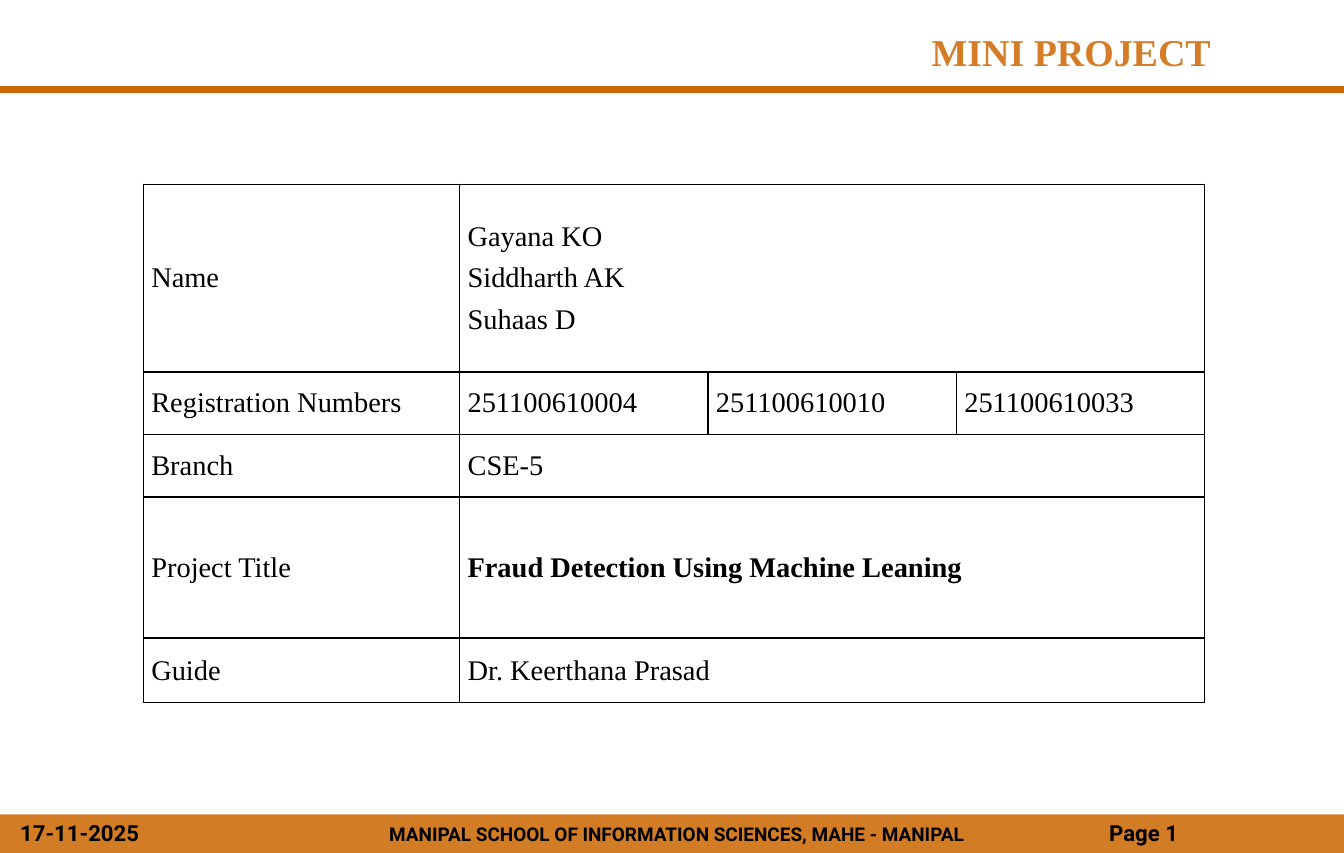
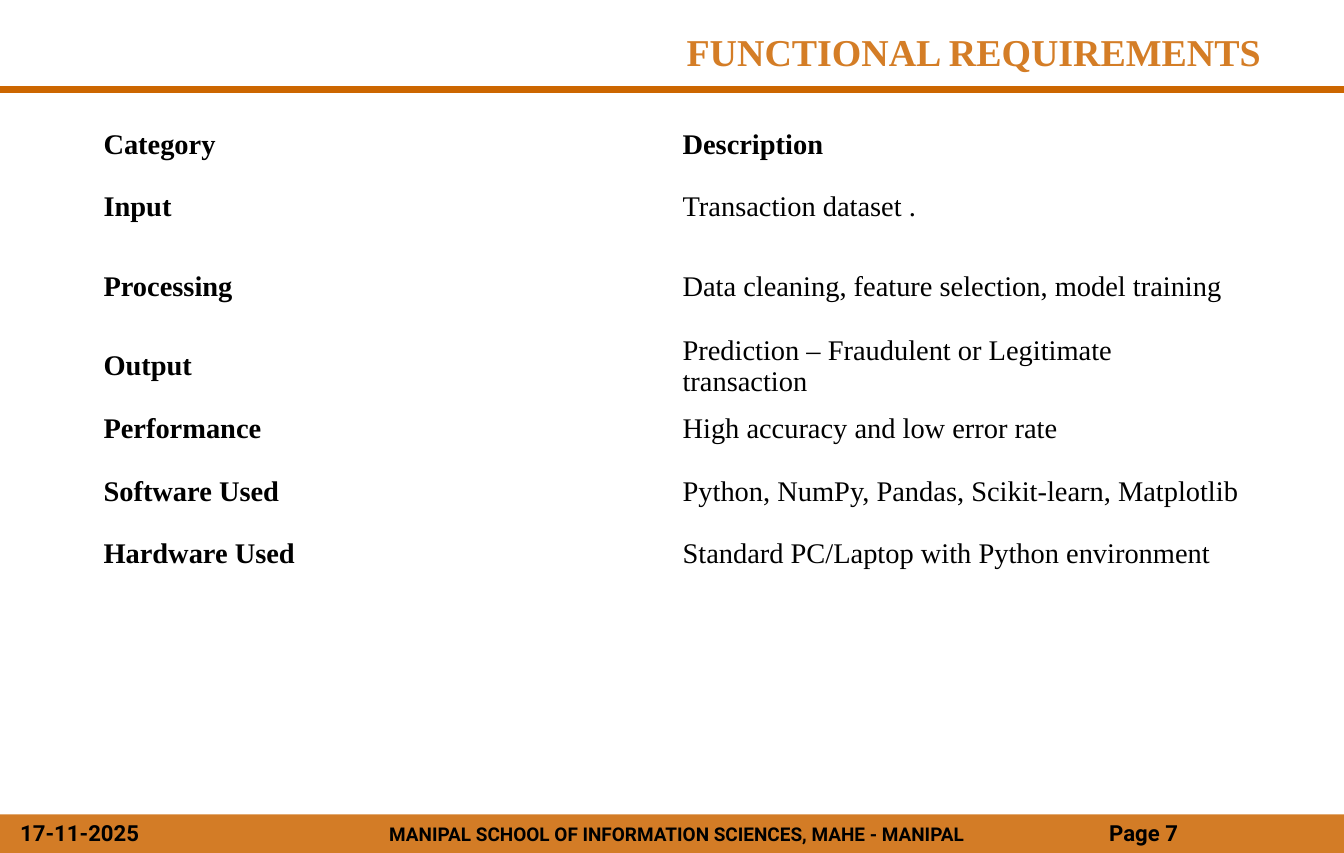
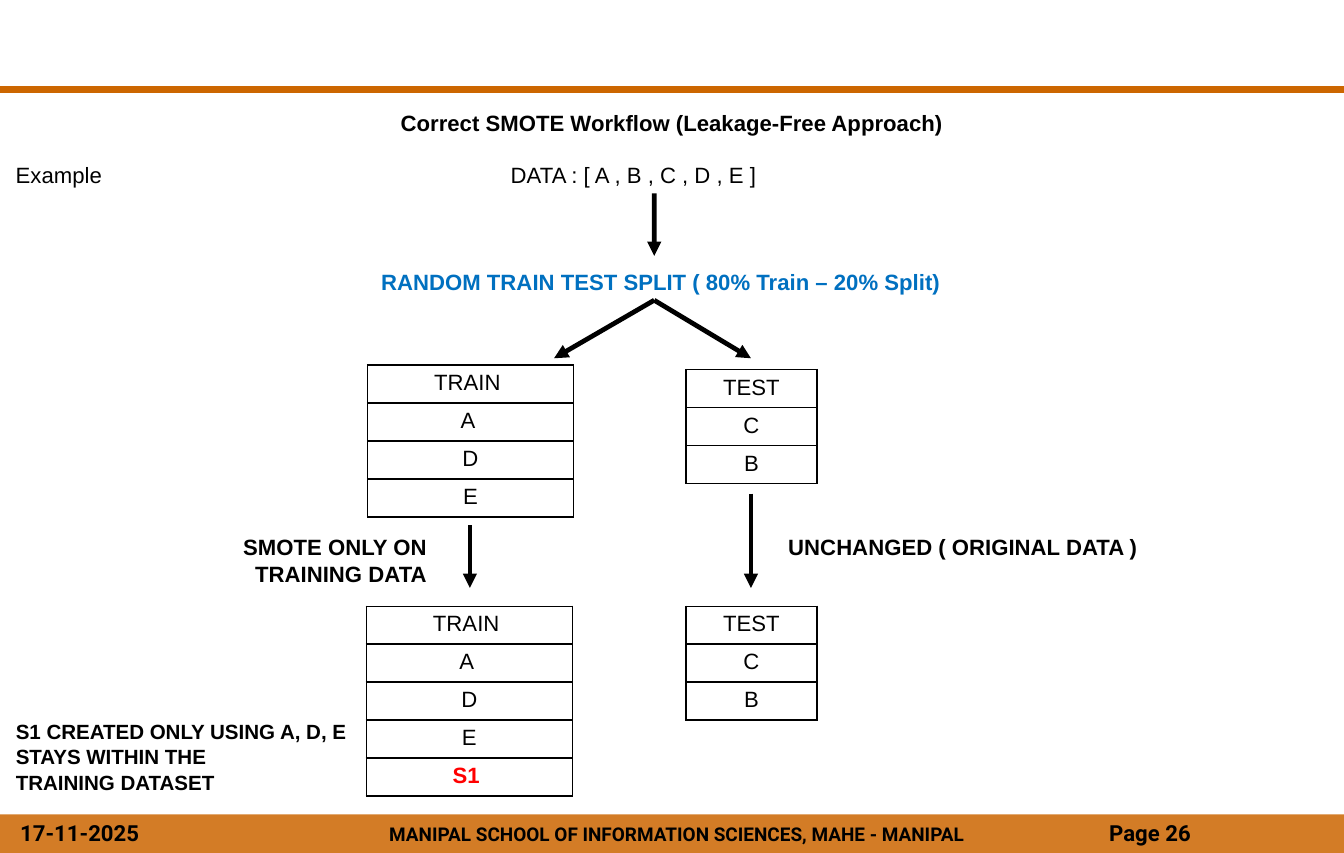
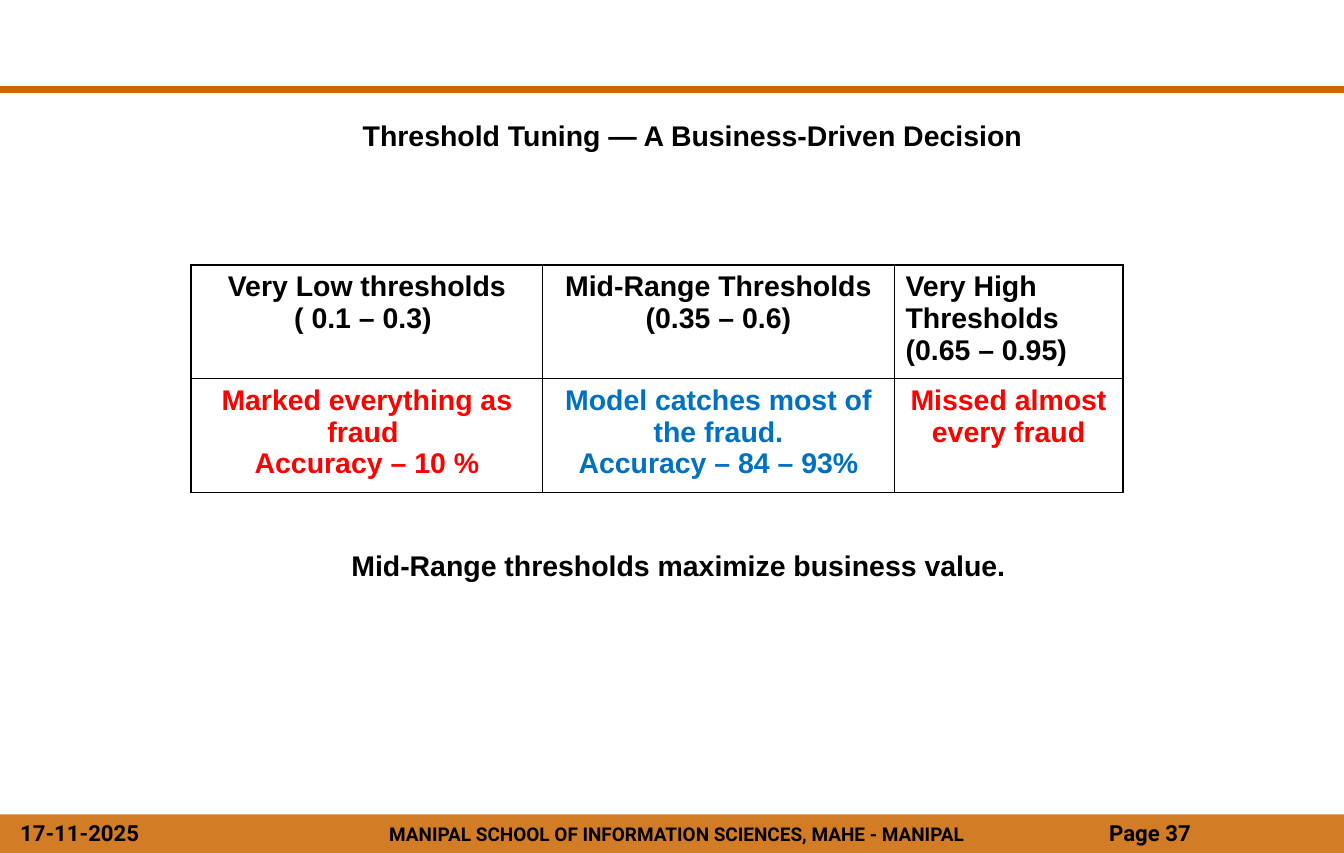
"""Build four slides of a fraud detection project deck."""
from dataclasses import dataclass

from lxml import etree
from pptx import Presentation
from pptx.dml.color import RGBColor
from pptx.enum.shapes import MSO_CONNECTOR, MSO_SHAPE
from pptx.enum.text import MSO_ANCHOR, PP_ALIGN
from pptx.oxml.ns import qn
from pptx.shapes.autoshape import Shape
from pptx.shapes.connector import Connector
from pptx.slide import Slide
from pptx.text.text import TextFrame
from pptx.util import Inches, Pt

LEFT, CENTER, RIGHT = PP_ALIGN.LEFT, PP_ALIGN.CENTER, PP_ALIGN.RIGHT
TOP, MIDDLE, BOTTOM = MSO_ANCHOR.TOP, MSO_ANCHOR.MIDDLE, MSO_ANCHOR.BOTTOM
STRAIGHT = MSO_CONNECTOR.STRAIGHT
RECTANGLE = MSO_SHAPE.RECTANGLE
TOP_SIDE, BOTTOM_SIDE = 0, 2


@dataclass(frozen=True)
class Theme:
    band: str = "CC6600"
    title: str = "D47D26"
    ink: str = "000000"
    blue: str = "0070C0"
    red: str = "FF0000"
    serif: str = "Times New Roman"
    sans: str = "Arial"
    footer: str = "Roboto"
    title_size: float = 24
    large: float = 18
    body: float = 14
    small: float = 13
    school: float = 12
    band_opacity: int = 85000
    rule_width: float = 4.5
    arrow_width: float = 3
    border_width: float = 1


THEME = Theme()
WIDTH, HEIGHT = 189 / 16, 7.5


@dataclass(frozen=True)
class Style:
    font: str = THEME.sans
    size: float = THEME.body
    color: str = THEME.ink
    bold: bool = False
    align: PP_ALIGN = LEFT
    line_spacing: float = 1.0
    gap: float = 0


@dataclass(frozen=True)
class Note:
    text: str
    left: float
    top: float
    width: float
    height: float
    style: Style
    inset: float = 0.1
    anchor: MSO_ANCHOR = TOP


@dataclass(frozen=True)
class Cell:
    text: str
    style: Style


@dataclass(frozen=True)
class Grid:
    left: float
    top: float
    widths: list[float]
    heights: list[float]
    rows: list[list[Cell]]
    side_margin: float = 0.1
    end_margin: float = 0.05
    anchor: MSO_ANCHOR = TOP
    bordered: bool = True


FOOTER = Style(THEME.footer, bold=True)
SCHOOL = Style(THEME.footer, THEME.school, bold=True, align=CENTER)
TITLE = Style(THEME.serif, THEME.title_size, THEME.title, True, RIGHT)
SERIF = Style(THEME.serif, THEME.large, gap=6.2)
SERIF_BOLD = Style(THEME.serif, THEME.large, bold=True)
PLAIN = Style()
CENTERED = Style(align=CENTER)
STRONG = Style(bold=True)
HEADING = Style(bold=True, align=CENTER)
SPLIT = Style(color=THEME.blue, bold=True)
SYNTHETIC = Style(color=THEME.red, bold=True, align=CENTER)
STEP = Style(bold=True, align=RIGHT, line_spacing=1.04)
REMARK = Style(size=THEME.small, bold=True, line_spacing=1.04)
LARGE = Style(size=THEME.large, bold=True)
LARGE_CENTERED = Style(size=THEME.large, bold=True, align=CENTER)
BAD = Style(size=THEME.large, color=THEME.red, bold=True, align=CENTER)
GOOD = Style(size=THEME.large, color=THEME.blue, bold=True, align=CENTER)


def write(frame: TextFrame, text: str, style: Style) -> None:
    """Fill a text frame with one styled paragraph per line."""
    for index, line in enumerate(text.split("\n")):
        paragraph = frame.paragraphs[0] if index == 0 else frame.add_paragraph()
        paragraph.alignment = style.align
        paragraph.line_spacing = style.line_spacing
        if index and style.gap:
            paragraph.space_before = Pt(style.gap)
        run = paragraph.add_run()
        run.text = line
        formats = {"name": style.font, "size": Pt(style.size), "bold": style.bold}
        for key, value in formats.items():
            setattr(run.font, key, value)
        run.font.color.rgb = RGBColor.from_string(style.color)


def add_note(slide: Slide, note: Note) -> Shape:
    """Add a wrapped text box."""
    box = slide.shapes.add_textbox(
        Inches(note.left), Inches(note.top), Inches(note.width), Inches(note.height))
    formats = {"word_wrap": True, "vertical_anchor": note.anchor,
               "margin_left": Inches(note.inset)}
    for key, value in formats.items():
        setattr(box.text_frame, key, value)
    write(box.text_frame, note.text, note.style)
    return box


def add_line(slide: Slide, start: tuple[float, float], end: tuple[float, float],
             color: str, width: float, arrow: bool = False) -> Connector:
    """Add a straight line, with an arrowhead at its end if asked."""
    line = slide.shapes.add_connector(
        STRAIGHT, *(Inches(value) for value in (*start, *end)))
    line.line.color.rgb = RGBColor.from_string(color)
    line.line.width = Pt(width)
    if arrow:
        outline = line.element.find(".//" + qn("a:ln"))
        etree.SubElement(outline, qn("a:tailEnd"), type="triangle")
    etree.SubElement(line.element.find(qn("p:spPr")), qn("a:effectLst"))
    return line


def add_arrow(slide: Slide, start: tuple[float, float],
              end: tuple[float, float]) -> Connector:
    """Add a black workflow arrow."""
    return add_line(slide, start, end, THEME.ink, THEME.arrow_width, arrow=True)


def add_borders(properties: etree.ElementBase) -> None:
    """Outline all four sides of a table cell."""
    for side in ("a:lnL", "a:lnR", "a:lnT", "a:lnB"):
        edge = etree.SubElement(properties, qn(side), w=str(Pt(THEME.border_width)))
        fill = etree.SubElement(edge, qn("a:solidFill"))
        etree.SubElement(fill, qn("a:srgbClr"), val=THEME.ink)


def add_grid(slide: Slide, grid: Grid) -> None:
    """Add a table, stretching the last cell of a short row to the right edge."""
    columns = len(grid.widths)
    table = slide.shapes.add_table(
        len(grid.rows), columns, Inches(grid.left), Inches(grid.top),
        Inches(sum(grid.widths)), Inches(sum(grid.heights))).table
    table.first_row = table.horz_banding = False
    for column, width in zip(table.columns, grid.widths):
        column.width = Inches(width)
    for row, height in zip(table.rows, grid.heights):
        row.height = Inches(height)
    formats = {"margin_left": Inches(grid.side_margin),
               "margin_right": Inches(grid.side_margin),
               "margin_top": Inches(grid.end_margin),
               "margin_bottom": Inches(grid.end_margin),
               "vertical_anchor": grid.anchor}
    for cell in table.iter_cells():
        for key, value in formats.items():
            setattr(cell, key, value)
        if grid.bordered:
            add_borders(cell._tc.get_or_add_tcPr())
        cell.fill.background()
    for row_index, entries in enumerate(grid.rows):
        last = len(entries) - 1
        if last < columns - 1:
            table.cell(row_index, last).merge(table.cell(row_index, columns - 1))
        for column_index, entry in enumerate(entries):
            write(table.cell(row_index, column_index).text_frame, entry.text, entry.style)


def add_frame(deck: Presentation, page: int) -> Slide:
    """Add a slide with the top rule and the footer band."""
    slide = deck.slides.add_slide(deck.slide_layouts[6])
    add_line(slide, (0, 0.79), (WIDTH, 0.79), THEME.band, THEME.rule_width)
    band = slide.shapes.add_shape(
        RECTANGLE, 0, Inches(7.16), Inches(WIDTH), Inches(0.34))
    band.shadow.inherit = False
    band.fill.solid()
    band.fill.fore_color.rgb = RGBColor.from_string(THEME.band)
    band.line.fill.background()
    color = band.element.find(".//" + qn("a:srgbClr"))
    etree.SubElement(color, qn("a:alpha"), val=str(THEME.band_opacity))
    for note in (
        Note("MANIPAL SCHOOL OF INFORMATION SCIENCES, MAHE - MANIPAL",
             2.85, 7.18, 6.2, 0.31, SCHOOL),
        Note("17-11-2025", 0.08, 7.16, 1.33, 0.34, FOOTER),
        Note(f"Page {page}", 9.65, 7.16, 2.15, 0.34, FOOTER),
    ):
        add_note(slide, note)
    return slide


def add_title(slide: Slide, text: str, right: float) -> None:
    """Add a title that ends at the given right edge."""
    add_note(slide, Note(text, right - 8, 0.2, 8, 0.5, TITLE))


def build_project(deck: Presentation) -> None:
    """Build the project details slide."""
    slide = add_frame(deck, 1)
    add_title(slide, "MINI PROJECT", 10.74)
    details = [
        ["Name", "Gayana KO\nSiddharth AK\nSuhaas D"],
        ["Registration Numbers", "251100610004", "251100610010", "251100610033"],
        ["Branch", "CSE-5"],
        ["Project Title"],
        ["Guide", "Dr. Keerthana Prasad"],
    ]
    rows = [[Cell(text, SERIF) for text in row] for row in details]
    rows[3].append(Cell("Fraud Detection Using Machine Leaning", SERIF_BOLD))
    label_width, table_width = 2.78, 9.33
    number_width = (table_width - label_width) / 3
    add_grid(slide, Grid(
        1.26, 1.62, [label_width] + [number_width] * 3,
        [1.65, 0.55, 0.55, 1.24, 0.57], rows,
        side_margin=0.07, end_margin=0, anchor=MIDDLE))


def build_requirements(deck: Presentation) -> None:
    """Build the functional requirements slide."""
    slide = add_frame(deck, 7)
    add_title(slide, "FUNCTIONAL REQUIREMENTS", 11.18)
    requirements = {
        "Input": "Transaction dataset .",
        "Processing": "Data cleaning, feature selection, model training",
        "Output": "Prediction – Fraudulent or Legitimate transaction",
        "Performance": "High accuracy and low error rate",
        "Software Used": "Python, NumPy, Pandas, Scikit-learn, Matplotlib",
        "Hardware Used": "Standard PC/Laptop with Python environment",
    }
    rows = [[Cell("Category", SERIF_BOLD), Cell("Description", SERIF_BOLD)]]
    rows += [[Cell(category, SERIF_BOLD), Cell(description, SERIF)]
             for category, description in requirements.items()]
    add_grid(slide, Grid(
        0.81, 1.07, [5.09] * 2, [0.4, 0.7, 0.7, 0.7, 0.4, 0.7, 0.4], rows,
        anchor=MIDDLE, bordered=False))


def build_workflow(deck: Presentation) -> None:
    """Build the SMOTE workflow slide."""
    slide = add_frame(deck, 26)
    for note in (
        Note("Correct SMOTE Workflow (Leakage-Free Approach)",
             0.04, 0.91, 11.73, 0.32, HEADING),
        Note("Example", 0.04, 1.37, 1.5, 0.33, PLAIN),
        Note("SMOTE ONLY ON\nTRAINING DATA", 1.85, 4.63, 2, 0.57, STEP),
        Note("UNCHANGED ( ORIGINAL DATA )", 6.83, 4.64, 3.4, 0.32, STRONG),
        Note("S1 CREATED ONLY USING A, D, E\nSTAYS WITHIN THE\nTRAINING DATASET",
             0.04, 6.26, 3.18, 0.8, REMARK),
    ):
        add_note(slide, note)
    data = add_note(slide, Note(
        "DATA : [ A , B , C , D , E ]", 4.39, 1.37, 2.72, 0.33, PLAIN))
    split = add_note(slide, Note(
        "RANDOM TRAIN TEST SPLIT ( 80% Train – 20% Split)",
        3, 2.25, 5.5, 0.39, SPLIT, inset=0.35, anchor=BOTTOM))

    to_split = add_arrow(slide, (5.75, 1.7), (5.75, 2.25))
    to_split.begin_connect(data, BOTTOM_SIDE)
    to_split.end_connect(split, TOP_SIDE)
    for end in ((4.87, 3.15), (6.6, 3.15)):
        add_arrow(slide, (5.75, 2.64), end).begin_connect(split, BOTTOM_SIDE)
    for x, top in ((4.13, 4.62), (6.6, 4.34)):
        add_arrow(slide, (x, top), (x, 5.17))

    train = [[Cell(text, CENTERED)] for text in ("TRAIN ", "A ", "D", "E")]
    test = [[Cell(text, CENTERED)] for text in ("TEST", "C", "B")]
    resampled = train + [[Cell("S1 ", SYNTHETIC)]]
    for left, top, width, rows in (
        (3.23, 3.21, 1.81, train),
        (6.03, 3.25, 1.15, test),
        (3.22, 5.33, 1.81, resampled),
        (6.03, 5.33, 1.15, test),
    ):
        add_grid(slide, Grid(left, top, [width], [0.33] * len(rows), rows))


def build_thresholds(deck: Presentation) -> None:
    """Build the threshold tuning slide."""
    slide = add_frame(deck, 37)
    add_note(slide, Note("Threshold Tuning — A Business-Driven Decision",
                         3.09, 0.99, 6.2, 0.4, LARGE))
    add_grid(slide, Grid(1.68, 2.33, [3.09, 3.09, 2.01], [1, 1], [
        [Cell("Very Low thresholds\n( 0.1 – 0.3) ", LARGE_CENTERED),
         Cell("Mid-Range Thresholds (0.35 – 0.6)", LARGE_CENTERED),
         Cell("Very High Thresholds (0.65 – 0.95)", LARGE)],
        [Cell("Marked everything as fraud \nAccuracy – 10 %", BAD),
         Cell("Model catches most of the fraud.\nAccuracy – 84 – 93%", GOOD),
         Cell("Missed almost every fraud", BAD)],
    ]))
    add_note(slide, Note("Mid-Range thresholds maximize business value.",
                         2.99, 4.77, 6.2, 0.4, LARGE))


def main() -> None:
    """Build and save the deck."""
    deck = Presentation()
    deck.slide_width, deck.slide_height = Inches(WIDTH), Inches(HEIGHT)
    for build in (build_project, build_requirements, build_workflow, build_thresholds):
        build(deck)
    deck.save("out.pptx")


if __name__ == "__main__":
    main()
